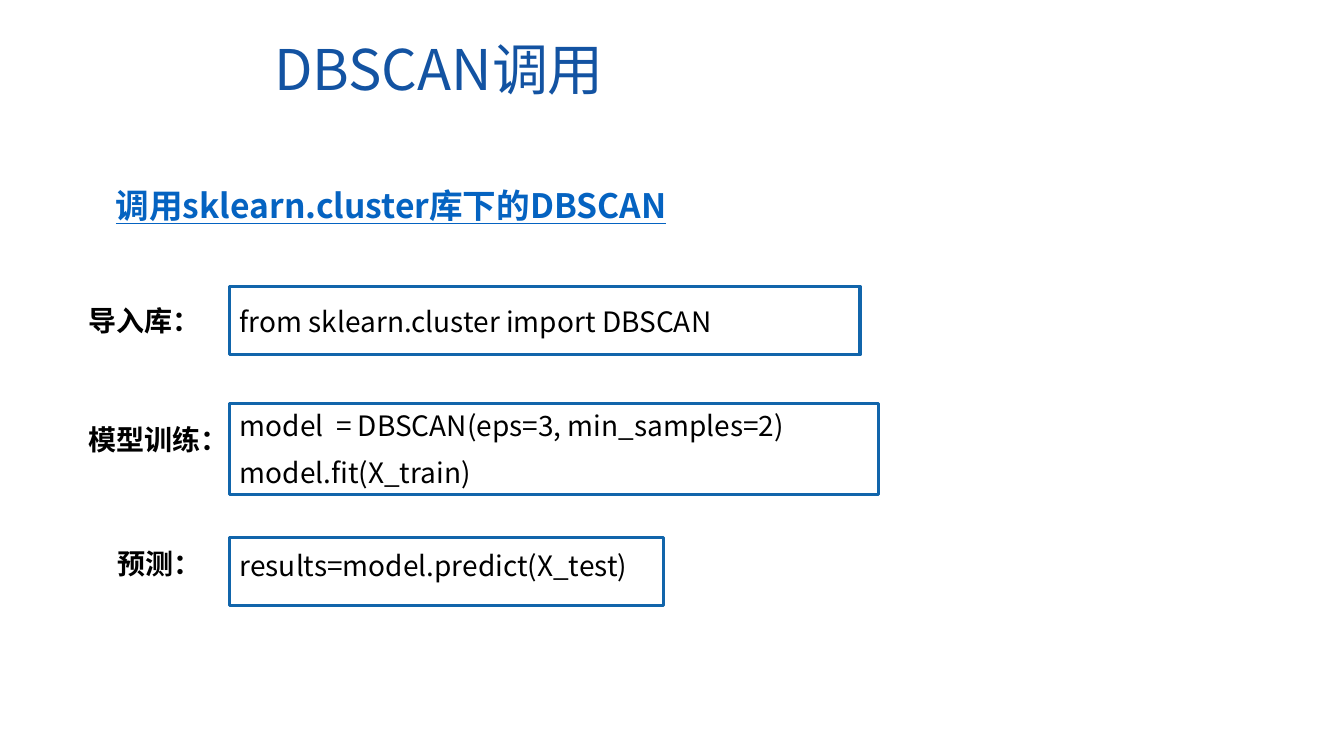
from dataclasses import dataclass

from lxml import etree
from pptx import Presentation
from pptx.dml.color import RGBColor
from pptx.enum.shapes import MSO_SHAPE
from pptx.enum.text import MSO_ANCHOR
from pptx.oxml.ns import qn
from pptx.util import Inches, Pt


@dataclass(frozen=True)
class Theme:
    title_color: RGBColor = RGBColor(0x13, 0x53, 0xA2)
    heading_color: RGBColor = RGBColor(0x05, 0x63, 0xC1)
    frame_color: RGBColor = RGBColor(0x11, 0x65, 0xAB)
    text_color: RGBColor = RGBColor(0, 0, 0)
    title_size: int = 40
    heading_size: int = 24
    body_size: int = 20
    frame_width: float = 2.25
    space_before: int = 10
    font: str = "Noto Sans CJK SC"
    label_font: str = "Arial"


THEME = Theme()


def add_text(page, box, lines, size, color, font=THEME.font, bold=False,
             underline=False, anchor=MSO_ANCHOR.TOP):
    frame = page.shapes.add_textbox(*map(Inches, box)).text_frame
    frame.word_wrap = True
    frame.vertical_anchor = anchor
    for index, line in enumerate(lines):
        para = frame.paragraphs[0] if index == 0 else frame.add_paragraph()
        if index:
            para.space_before = Pt(THEME.space_before)
        span = para.add_run()
        span.text = line
        span.font.name = font
        span.font.size = Pt(size)
        span.font.bold = bold
        span.font.underline = underline
        span.font.color.rgb = color
        east_asian = etree.SubElement(span.font._element, qn("a:ea"))
        east_asian.set("typeface", THEME.font)
    return frame


def add_title(page, box):
    add_text(page, box, ["DBSCAN调用"], THEME.title_size, THEME.title_color,
             anchor=MSO_ANCHOR.MIDDLE)


def add_heading(page, box):
    frame = add_text(page, box, ["调用sklearn.cluster库下的DBSCAN"], THEME.heading_size,
                     THEME.heading_color, bold=True, underline=True)
    para = frame.paragraphs[0]
    para.line_spacing = 0.9
    para._p.get_or_add_pPr().set("marL", str(Inches(0.25)))


def add_step(page, box, label, label_offset, code, code_offset):
    left, top, width, height = box
    label_left, label_top = label_offset
    label_frame = add_text(page, (left + label_left, top + label_top, 2.24, 0.46), [label],
                           THEME.body_size, THEME.text_color, THEME.label_font, bold=True)
    label_frame.paragraphs[0]._p.get_or_add_pPr().set("indent", str(Inches(0.5)))
    add_text(page, (left, top + code_offset, width, height - code_offset), code,
             THEME.body_size, THEME.text_color)
    border = page.shapes.add_shape(MSO_SHAPE.RECTANGLE, *map(Inches, box))
    border.shadow.inherit = False
    border.fill.background()
    border.line.color.rgb = THEME.frame_color
    border.line.width = Pt(THEME.frame_width)


def main():
    deck = Presentation()
    deck.slide_width = Inches(13.33)
    deck.slide_height = Inches(7.5)
    page = deck.slides.add_slide(deck.slide_layouts[6])
    add_title(page, (2.62, 0.29, 9.16, 0.77))
    add_heading(page, (0.8, 1.83, 11.83, 1.58))
    steps = [
        ((2.28, 2.84, 6.25, 0.68), "导入库：", (-2, 0.12),
         ["from sklearn.cluster import DBSCAN"], 0.13),
        ((2.28, 4, 6.43, 0.91), "模型训练：", (-2, 0.14),
         ["model  = DBSCAN(eps=3, min_samples=2)", "model.fit(X_train)"], 0),
        ((2.28, 5.33, 4.3, 0.68), "预测：", (-1.71, 0.04),
         ["results=model.predict(X_test)"], 0.06),
    ]
    for step in steps:
        add_step(page, *step)
    deck.save("out.pptx")


if __name__ == "__main__":
    main()
